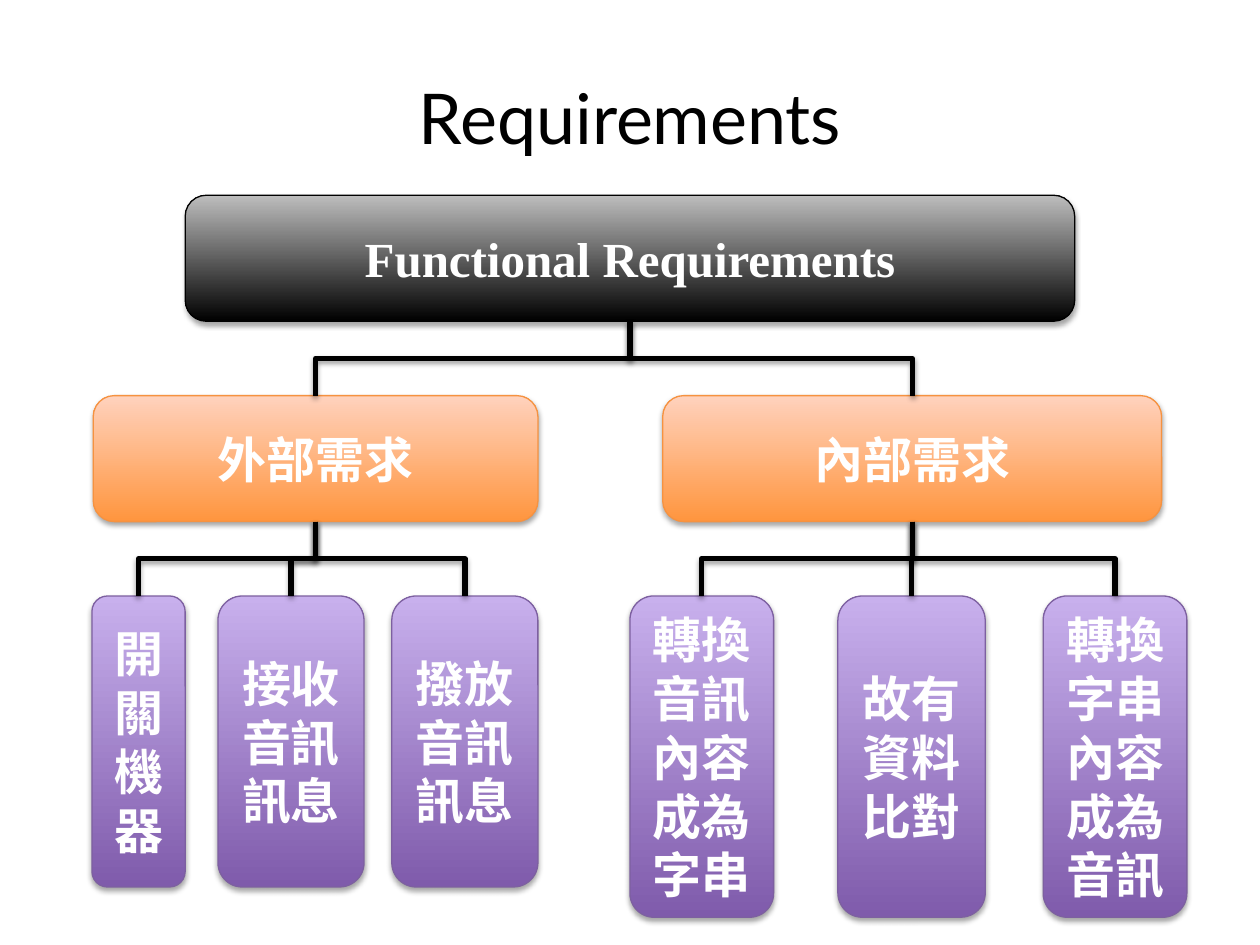
"""Build a requirements tree slide with three levels of boxes."""
from dataclasses import dataclass

from lxml.etree import SubElement
from pptx import Presentation
from pptx.dml.color import RGBColor
from pptx.enum.shapes import MSO_CONNECTOR, MSO_SHAPE
from pptx.enum.text import MSO_ANCHOR, PP_ALIGN
from pptx.oxml.ns import qn
from pptx.util import Inches, Pt

BLACK = RGBColor(0x00, 0x00, 0x00)
WHITE = RGBColor(0xFF, 0xFF, 0xFF)
GREY = RGBColor(0xBD, 0xBD, 0xBD)
ORANGE = RGBColor(0xFF, 0x95, 0x3E)
PEACH = RGBColor(0xFF, 0xD2, 0xBD)
ORANGE_LINE = RGBColor(0xF6, 0x92, 0x40)
PURPLE = RGBColor(0x7F, 0x5B, 0xAB)
LILAC = RGBColor(0xC8, 0xB0, 0xED)
PURPLE_LINE = RGBColor(0x7D, 0x60, 0xA0)
CJK = "Noto Sans CJK SC"
COL = Inches(0.1)
FIRST_ROW, ROW_STEP = 15.5, 15.9


@dataclass(frozen=True)
class Level:
    """Look shared by the boxes of one level."""
    bottom: RGBColor
    top: RGBColor
    line: RGBColor
    font: str


@dataclass(frozen=True)
class Node:
    """Box of the tree, measured in grid columns."""
    text: str
    left: float
    width: float
    height: float = 10
    children: tuple = ()


LEVELS = (
    Level(BLACK, GREY, BLACK, "Times New Roman"),
    Level(ORANGE, PEACH, ORANGE_LINE, CJK),
    Level(PURPLE, LILAC, PURPLE_LINE, CJK),
)
TREE = Node("Functional Requirements", 14.7, 70.6, children=(
    Node("外部需求", 7.4, 35.3, children=(
        Node("開關機器", 7.3, 7.4, 23.1),
        Node("接收音訊訊息", 17.3, 11.6, 23.1),
        Node("撥放音訊訊息", 31.1, 11.6, 23.1))),
    Node("內部需求", 52.6, 39.6, children=(
        Node("轉換音訊內容成為字串", 50, 11.4, 25.5),
        Node("故有資料比對", 66.5, 11.7, 25.5),
        Node("轉換字串內容成為音訊", 82.8, 11.4, 25.5))),
))


def grid(n: float) -> int:
    """Turn grid units into a length."""
    return round(n * COL)


def write(s, text: str, font: str, size: int, color: RGBColor, bold: bool) -> None:
    """Write one centred line of text into a shape."""
    tf = s.text_frame
    tf.word_wrap = True
    tf.vertical_anchor = MSO_ANCHOR.MIDDLE
    p = tf.paragraphs[0]
    p.alignment = PP_ALIGN.CENTER
    r = p.add_run()
    r.text = text
    r.font.name, r.font.size, r.font.bold = font, Pt(size), bold
    r.font.color.rgb = color
    SubElement(r.font._element, qn("a:ea"), typeface=font)


def add_shadow(s, distance: float, opacity: int) -> None:
    """Give a shape or connector a soft shadow below it."""
    effects = SubElement(s._element.spPr, qn("a:effectLst"))
    shadow = SubElement(effects, qn("a:outerShdw"), blurRad=str(Pt(3.1)),
                        dist=str(Pt(distance)), dir="5400000", rotWithShape="0")
    color = SubElement(shadow, qn("a:srgbClr"), val=str(BLACK))
    SubElement(color, qn("a:alpha"), val=str(opacity * 1000))


def add_box(sp, node: Node, depth: int):
    """Draw the rounded box of a node."""
    level = LEVELS[depth]
    s = sp.add_shape(MSO_SHAPE.ROUNDED_RECTANGLE, grid(node.left),
                     grid(FIRST_ROW + depth * ROW_STEP),
                     grid(node.width), grid(node.height))
    s.fill.gradient()
    s.fill.gradient_angle = 90
    for stop, color in zip(s.fill.gradient_stops, (level.bottom, level.top)):
        stop.color.rgb = color
    s.line.color.rgb = level.line
    s.line.width = Pt(0.75)
    add_shadow(s, 1.8, 35)
    write(s, node.text, level.font, 28, WHITE, True)
    return s


def add_elbow(sp, parent, child) -> None:
    """Join the bottom of a parent to the top of a child."""
    x1, y1 = parent.left + parent.width // 2, parent.top + parent.height
    x2, y2 = child.left + child.width // 2, child.top
    s = sp.add_connector(MSO_CONNECTOR.ELBOW, x1, y1, x2, y2)
    s.begin_connect(parent, 2)
    s.end_connect(child, 0)
    s.width, s.height = y2 - y1, abs(x2 - x1)
    s.left = (x1 + x2 - s.width) // 2
    s.top = (y1 + y2 - s.height) // 2
    rightward = x2 > x1
    xfrm = s._element.spPr.find(qn("a:xfrm"))
    xfrm.set("rot", "16200000" if rightward else "5400000")
    xfrm.set("flipH", "1" if rightward else "0")
    xfrm.set("flipV", "0")
    s.line.color.rgb = BLACK
    s.line.width = Pt(3)
    add_shadow(s, 1.6, 38)


def add_tree(sp, node: Node, depth: int = 0):
    """Draw a node, its children and the lines between them."""
    s = add_box(sp, node, depth)
    for child in node.children:
        add_elbow(sp, s, add_tree(sp, child, depth + 1))
    return s


def main() -> None:
    """Build and save the slide."""
    prs = Presentation()
    prs.slide_width, prs.slide_height = Inches(10), Inches(7.5)
    sp = prs.slides.add_slide(prs.slide_layouts[6]).shapes
    title = sp.add_textbox(grid(5), grid(3), grid(90), grid(12.5))
    write(title, "Requirements", "Lato", 40, BLACK, False)
    add_tree(sp, TREE)
    prs.save("out.pptx")


main()
